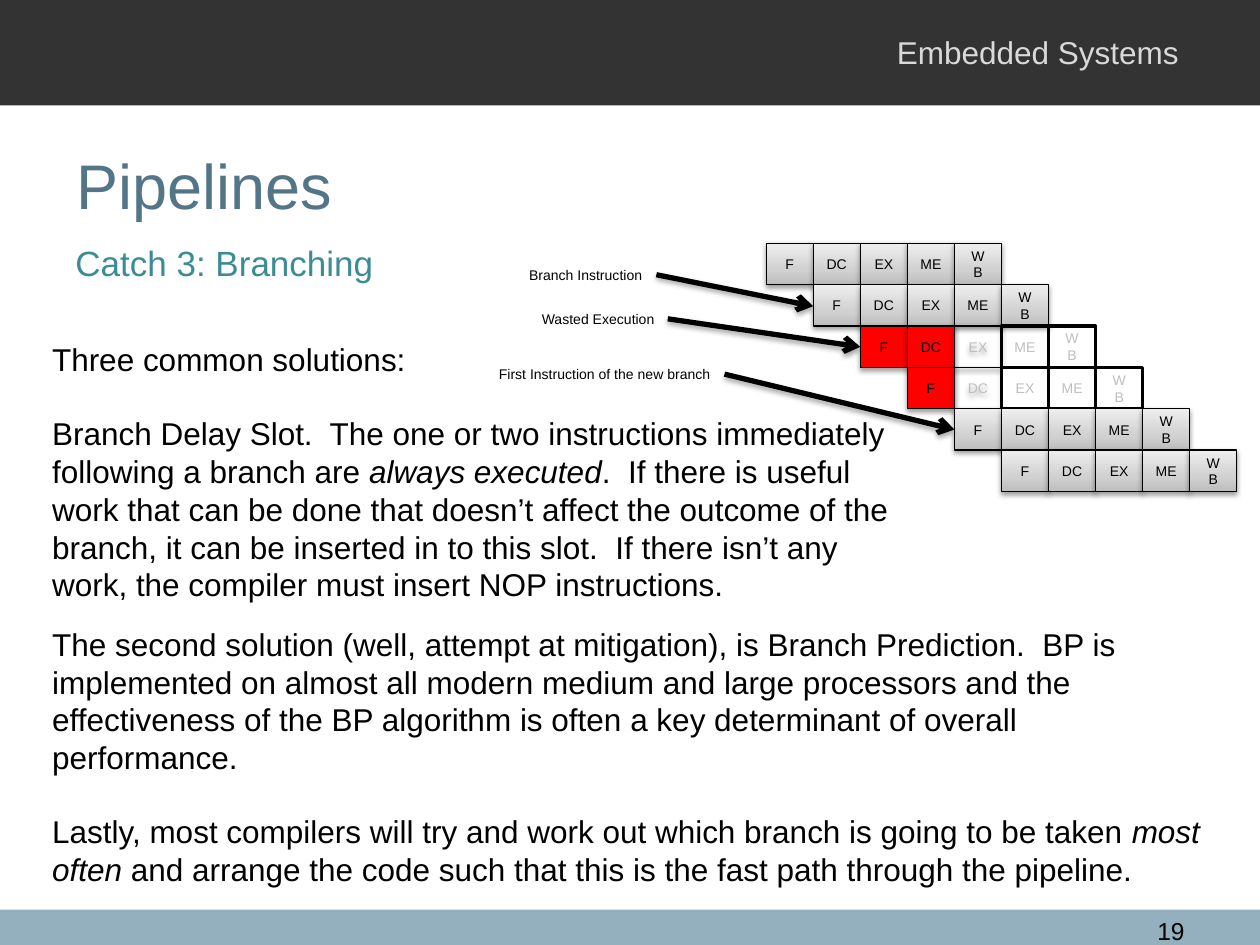
from copy import deepcopy

from lxml import etree
from pptx import Presentation
from pptx.dml.color import RGBColor
from pptx.enum.shapes import MSO_CONNECTOR, MSO_SHAPE
from pptx.enum.text import MSO_ANCHOR, PP_ALIGN
from pptx.oxml.ns import qn
from pptx.util import Pt

RECTANGLE = MSO_SHAPE.RECTANGLE
STRAIGHT = MSO_CONNECTOR.STRAIGHT
TOP, MIDDLE = MSO_ANCHOR.TOP, MSO_ANCHOR.MIDDLE
LEFT, CENTER, RIGHT = PP_ALIGN.LEFT, PP_ALIGN.CENTER, PP_ALIGN.RIGHT

BLACK = RGBColor(0x00, 0x00, 0x00)
WHITE = RGBColor(0xFF, 0xFF, 0xFF)
RED = RGBColor(0xFF, 0x00, 0x00)
CHARCOAL = RGBColor(0x33, 0x33, 0x33)
FOOTER_BLUE = RGBColor(0x94, 0xB0, 0xBE)
PALE_GRAY = RGBColor(0xD9, 0xD9, 0xD9)
FADED_GRAY = RGBColor(0xBF, 0xBF, 0xBF)
TITLE_BLUE = RGBColor(0x52, 0x76, 0x88)
TEAL = RGBColor(0x3C, 0x8C, 0x93)
STAGE_GRADIENT = (
    (0, RGBColor(0xBD, 0xBD, 0xBD)),
    (0.35, RGBColor(0xD1, 0xD1, 0xD1)),
    (1, RGBColor(0xEE, 0xEE, 0xEE)),
)

# Pipeline grid, in points
STAGES = ("F", "DC", "EX", "ME", "WB")
GRID_LEFT, GRID_TOP = 437.8, 139
STAGE_WIDTH, STAGE_HEIGHT = 26.9, 23.65

# Stage looks: fill, text colour, line width, shadow
NORMAL = (STAGE_GRADIENT, BLACK, 0.75, True)
WASTED = (RED, BLACK, 0.75, True)
FLUSHED = (None, FADED_GRAY, 0.75, True)
EMPTY = (None, FADED_GRAY, 2, False)
EMPTY_WHITE = (WHITE, FADED_GRAY, 2, False)

INSTRUCTIONS = (
    (NORMAL,) * 5,
    (NORMAL,) * 5,
    (WASTED, WASTED, FLUSHED, EMPTY, EMPTY),
    (WASTED, FLUSHED, EMPTY_WHITE, EMPTY, EMPTY),
    (NORMAL,) * 5,
    (NORMAL,) * 5,
)

# Label, its box (left, top, width), arrow start and arrow end
CALLOUTS = (
    ("Branch Instruction", (295.2, 149, 79.9), (375.1, 157), (464.7, 175)),
    ("Wasted Execution", (302.5, 173.8, 79.2), (381.6, 182.2), (491.6, 198.2)),
    ("First Instruction of the new branch", (278, 205.2, 136.1),
     (414, 213.8), (545.4, 245.5)),
)

# Each paragraph is a list of (text, italic) runs
DELAY_SLOT = (
    [("Three common solutions:", False)],
    [("Branch Delay Slot.  The one or two instructions immediately "
      "following a branch are ", False),
     ("always executed", True),
     (".  If there is useful work that can be done that doesn’t affect the "
      "outcome of the branch, it can be inserted in to this slot.  If there "
      "isn’t any work, the compiler must insert NOP instructions.", False)],
)
PREDICTION = (
    [("The second solution (well, attempt at mitigation), is Branch "
      "Prediction.  BP is implemented on almost all modern medium and large "
      "processors and the effectiveness of the BP algorithm is often a key "
      "determinant of overall performance.", False)],
    [("Lastly, most compilers will try and work out which branch is going "
      "to be taken ", False),
     ("most often", True),
     (" and arrange the code such that this is the fast path through the "
      "pipeline.", False)],
)


class SlideBuilder:
    font_name = "Arial"
    paragraph_gap = 20.7

    def __init__(self, slide):
        self.slide = slide

    def add_paragraphs(self, frame, paragraphs, size, color, align):
        for index, runs in enumerate(paragraphs):
            paragraph = frame.add_paragraph() if index else frame.paragraphs[0]
            paragraph.alignment = align
            if index:
                paragraph.space_before = Pt(self.paragraph_gap)
            for text, italic in runs:
                run = paragraph.add_run()
                run.text = text
                run.font.name = self.font_name
                run.font.size = Pt(size)
                run.font.color.rgb = color
                run.font.italic = italic

    def text(self, box, paragraphs, size, color=BLACK, align=LEFT,
             anchor=TOP, wrap=True):
        if isinstance(paragraphs, str):
            paragraphs = [[(paragraphs, False)]]
        shape = self.slide.shapes.add_textbox(*map(Pt, box))
        frame = shape.text_frame
        frame.word_wrap = wrap
        frame.vertical_anchor = anchor
        self.add_paragraphs(frame, paragraphs, size, color, align)

    def bar(self, box, color):
        shape = self.slide.shapes.add_shape(RECTANGLE, *map(Pt, box))
        shape.shadow.inherit = False
        shape.fill.solid()
        shape.fill.fore_color.rgb = color
        shape.line.fill.background()

    def stage(self, box, name, look):
        fill, text_color, line_width, has_shadow = look
        shape = self.slide.shapes.add_shape(RECTANGLE, *map(Pt, box))
        if fill is None:
            shape.fill.background()
        elif fill is STAGE_GRADIENT:
            self.gradient(shape, fill)
        else:
            shape.fill.solid()
            shape.fill.fore_color.rgb = fill
        shape.line.color.rgb = BLACK
        shape.line.width = Pt(line_width)
        if has_shadow:
            self.shadow(shape, opacity=38, distance=1.6)
        else:
            shape.shadow.inherit = False
        frame = shape.text_frame
        frame.word_wrap = True
        frame.vertical_anchor = MIDDLE
        self.add_paragraphs(frame, [[(name, False)]], 8, text_color, CENTER)

    def gradient(self, shape, colors):
        shape.fill.gradient()
        shape.fill.gradient_angle = 90
        stop_list = shape._element.spPr.find(".//" + qn("a:gsLst"))
        stop_list.append(deepcopy(stop_list[0]))
        for stop, (position, color) in zip(shape.fill.gradient_stops, colors):
            stop.position = position
            stop.color.rgb = color

    def shadow(self, shape, opacity, distance):
        effects = etree.SubElement(shape._element.spPr, qn("a:effectLst"))
        outer = etree.SubElement(
            effects, qn("a:outerShdw"), blurRad=str(Pt(3.1)),
            dist=str(Pt(distance)), dir="5400000", rotWithShape="0")
        color = etree.SubElement(outer, qn("a:srgbClr"), val=str(BLACK))
        etree.SubElement(color, qn("a:alpha"), val=str(opacity * 1000))

    def arrow(self, start, end):
        connector = self.slide.shapes.add_connector(
            STRAIGHT, *map(Pt, start + end))
        connector.line.color.rgb = BLACK
        connector.line.width = Pt(3)
        line = connector._element.spPr.find(qn("a:ln"))
        etree.SubElement(line, qn("a:tailEnd"), type="arrow")
        self.shadow(connector, opacity=35, distance=1.8)


def main():
    presentation = Presentation()
    presentation.slide_width, presentation.slide_height = Pt(720), Pt(540)
    slide = presentation.slides.add_slide(presentation.slide_layouts[6])
    builder = SlideBuilder(slide)

    # Header, footer and titles
    builder.bar((0, 519.8, 720, 20.2), FOOTER_BLUE)
    builder.bar((0, 0, 720, 60.2), CHARCOAL)
    builder.text((505.4, 15.1, 180, 28.8), "Embedded Systems", 18, PALE_GRAY)
    builder.text((36.7, 60.5, 648, 90), "Pipelines", 36, TITLE_BLUE,
                 anchor=MIDDLE)
    builder.text((637.9, 519.8, 46.1, 17.3), "19", 14, align=RIGHT)
    builder.text((36, 134.5, 648, 35.3), "Catch 3: Branching", 20, TEAL)

    # Pipeline: each instruction starts one stage later
    for row, looks in enumerate(INSTRUCTIONS):
        for column, (name, look) in enumerate(zip(STAGES, looks), start=row):
            builder.stage((GRID_LEFT + column * STAGE_WIDTH,
                           GRID_TOP + row * STAGE_HEIGHT,
                           STAGE_WIDTH, STAGE_HEIGHT), name, look)

    # Labels and arrows
    for label, (left, top, width), start, end in CALLOUTS:
        builder.text((left, top, width, 17), label, 8, wrap=False)
        builder.arrow(start, end)

    # Explanation
    builder.text((22.7, 190.8, 496.8, 159.8), DELAY_SLOT, 18)
    builder.text((22.7, 353.5, 671, 159.8), PREDICTION, 18)

    presentation.save("out.pptx")


if __name__ == "__main__":
    main()
